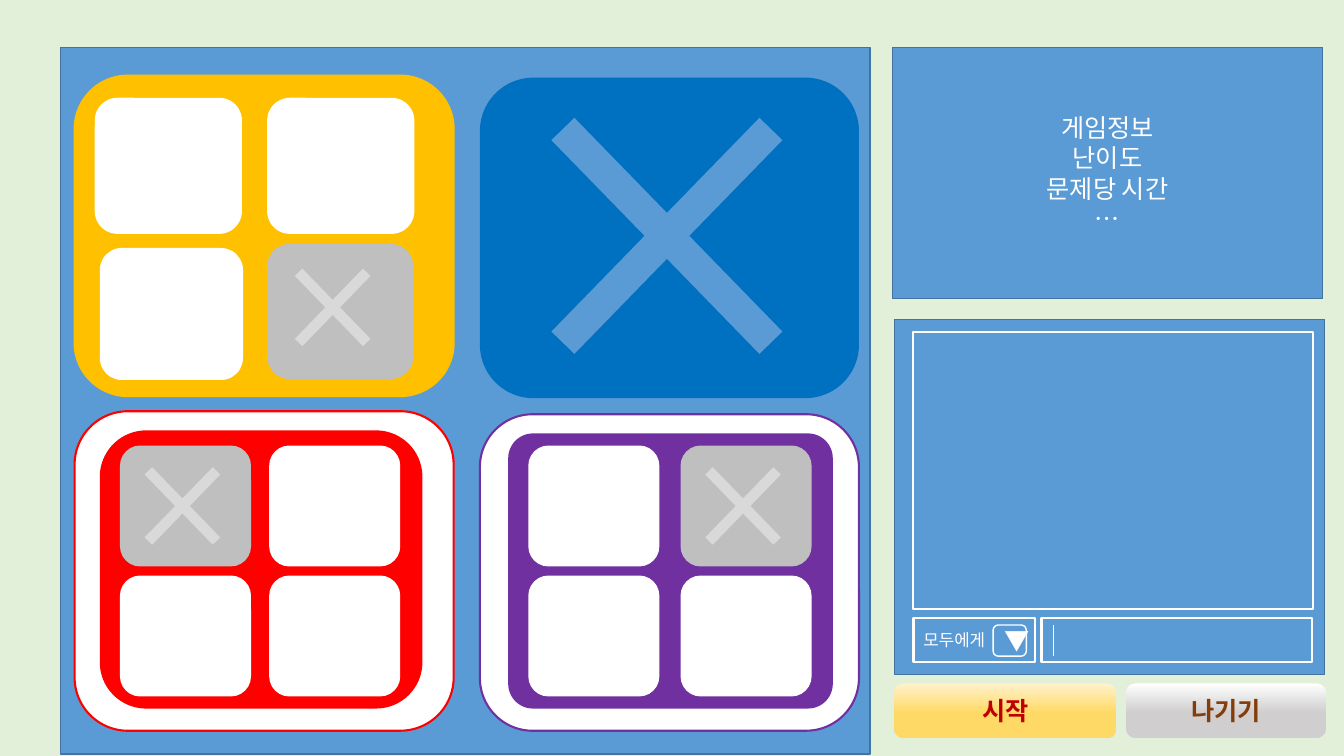
from pptx import Presentation
from pptx import util as u
from pptx.dml.color import RGBColor
from pptx.enum import shapes, text
from pptx.oxml.ns import qn
from lxml import etree

PX = 9144  # 100 px to the inch
FONT = "Noto Sans CJK KR"
RECT = shapes.MSO_SHAPE.RECTANGLE
ROUND = shapes.MSO_SHAPE.ROUNDED_RECTANGLE
CROSS = shapes.MSO_SHAPE.MATH_MULTIPLY

MINT = RGBColor(0xE2, 0xF0, 0xD9)
BLUE = RGBColor(0x5B, 0x9B, 0xD5)
EDGE = RGBColor(0x43, 0x73, 0x9E)
DEEP_BLUE = RGBColor(0x00, 0x70, 0xC0)
WHITE = RGBColor(0xFF, 0xFF, 0xFF)
AMBER = RGBColor(0xFF, 0xC0, 0x00)
RED = RGBColor(0xFF, 0x00, 0x00)
PURPLE = RGBColor(0x70, 0x30, 0xA0)
GRAY = RGBColor(0xBF, 0xBF, 0xBF)
PALE_GRAY = RGBColor(0xD9, 0xD9, 0xD9)
CREAM = RGBColor(0xFF, 0xF2, 0xCC)
GOLD = RGBColor(0xFF, 0xD9, 0x66)
SILVER = RGBColor(0xD0, 0xCE, 0xCE)
DARK_RED = RGBColor(0xC0, 0x00, 0x00)
BROWN = RGBColor(0x84, 0x3C, 0x0B)


def write(sp, content, size=18, color=WHITE, bold=False,
          align=text.PP_ALIGN.CENTER):
    tf = sp.text_frame
    tf.word_wrap = True
    tf.vertical_anchor = text.MSO_ANCHOR.MIDDLE
    for i, line in enumerate(content.split("\n")):
        p = tf.add_paragraph() if i else tf.paragraphs[0]
        p.alignment = align
        r = p.add_run()
        r.text = line
        r.font.size = u.Pt(size)
        r.font.bold = bold
        r.font.color.rgb = color
        r.font.name = FONT
        etree.SubElement(r.font._element, qn("a:ea"), typeface=FONT)


class Board:
    def __init__(self, s):
        self.s = s
        self.target = s.shapes
        s.background.fill.solid()
        s.background.fill.fore_color.rgb = MINT

    def group(self):
        self.target = self.s.shapes.add_group_shape().shapes

    def ungroup(self):
        self.target = self.s.shapes

    def shape(self, kind, x, y, w, h, fill=BLUE, line=None, width=1, adj=None):
        sp = self.target.add_shape(kind, x * PX, y * PX, w * PX, h * PX)
        sp.shadow.inherit = False
        if adj is not None:
            sp.adjustments[0] = adj
        sp.fill.solid()
        sp.fill.fore_color.rgb = fill
        if line is None:
            sp.line.fill.background()
        else:
            sp.line.color.rgb = line
            sp.line.width = u.Pt(width)
        return sp

    def panel(self, x, y, w, h):
        return self.shape(RECT, x, y, w, h, line=EDGE)

    def field(self, x, y, w, h):
        return self.shape(RECT, x, y, w, h, line=WHITE, width=1.5)

    def tile(self, x, y, w=130, h=120, fill=WHITE):
        return self.shape(ROUND, x, y, w, h, fill)

    def cross(self, x, y, w=130, h=134, fill=PALE_GRAY):
        return self.shape(CROSS, x, y, w, h, fill, adj=0.08)

    def button(self, x, w, label, top, bottom, color):
        sp = self.shape(ROUND, x, 678, w, 54)
        sp.fill.gradient()
        sp.fill.gradient_angle = 270
        for stop, pos, rgb in zip(sp.fill.gradient_stops, (0, 0.54), (top, bottom)):
            stop.position = pos
            stop.color.rgb = rgb
        write(sp, label, color=color, bold=True)

    def line(self, x1, y1, x2, y2, color, width):
        c = self.target.add_connector(shapes.MSO_CONNECTOR.STRAIGHT,
                                      x1 * PX, y1 * PX, x2 * PX, y2 * PX)
        c.line.color.rgb = color
        c.line.width = u.Pt(width)
        etree.SubElement(c._element.spPr, qn("a:effectLst"))

    def quad(self, left, step, used_column):
        """Two by two tiles, with one of the top pair crossed out."""
        for row in range(2):
            for col in range(2):
                used = row == 0 and col == used_column
                x, y = left + col * step, 442 + row * 129
                self.tile(x, y, fill=GRAY if used else WHITE)
                if used:
                    self.cross(x - 3, y - 7)


def main():
    prs = Presentation()
    prs.slide_width, prs.slide_height = 1333 * PX, 750 * PX
    b = Board(prs.slides.add_slide(prs.slide_layouts[6]))

    # Game board
    b.panel(60, 47, 803, 701)

    # Yellow player
    b.shape(ROUND, 74, 75, 376, 318, AMBER, AMBER, 1.5)
    b.tile(94, 97, 146, 135)
    b.tile(265, 97, 146, 135)
    b.tile(99, 246, 142, 131)
    b.tile(265, 242, 145, 134, GRAY)
    b.cross(265, 238)

    # Blue player, out of the game
    b.shape(ROUND, 476, 77, 376, 318, DEEP_BLUE)
    b.cross(463, 30, 397, 408, BLUE)

    # Red player
    b.shape(ROUND, 74, 408, 376, 317, WHITE, RED, 1.5)
    b.shape(ROUND, 99, 427, 320, 276, RED)
    b.quad(119, 148, used_column=0)

    # Purple player
    b.shape(ROUND, 476, 411, 376, 314, WHITE, PURPLE, 1.5)
    b.shape(ROUND, 504, 430, 322, 273, PURPLE, adj=0.09)
    b.quad(524, 151, used_column=1)

    # Game information
    write(b.panel(885, 47, 427, 249), "게임정보\n난이도\n문제당 시간\n…")

    # Chat
    b.group()
    b.panel(887, 317, 427, 352)
    b.field(906, 329, 396, 275)
    b.field(1033, 613, 268, 44)
    write(b.field(906, 613, 121, 44), "모두에게", size=12,
          align=text.PP_ALIGN.LEFT)
    write(b.shape(ROUND, 985, 620, 33, 31, line=WHITE), "▼")
    b.line(1045, 620, 1045, 651, WHITE, 0.5)
    b.ungroup()

    # Buttons
    b.button(887, 220, "시작", CREAM, GOLD, DARK_RED)
    b.button(1117, 198, "나기기", WHITE, SILVER, BROWN)

    prs.save("out.pptx")


if __name__ == "__main__":
    main()
